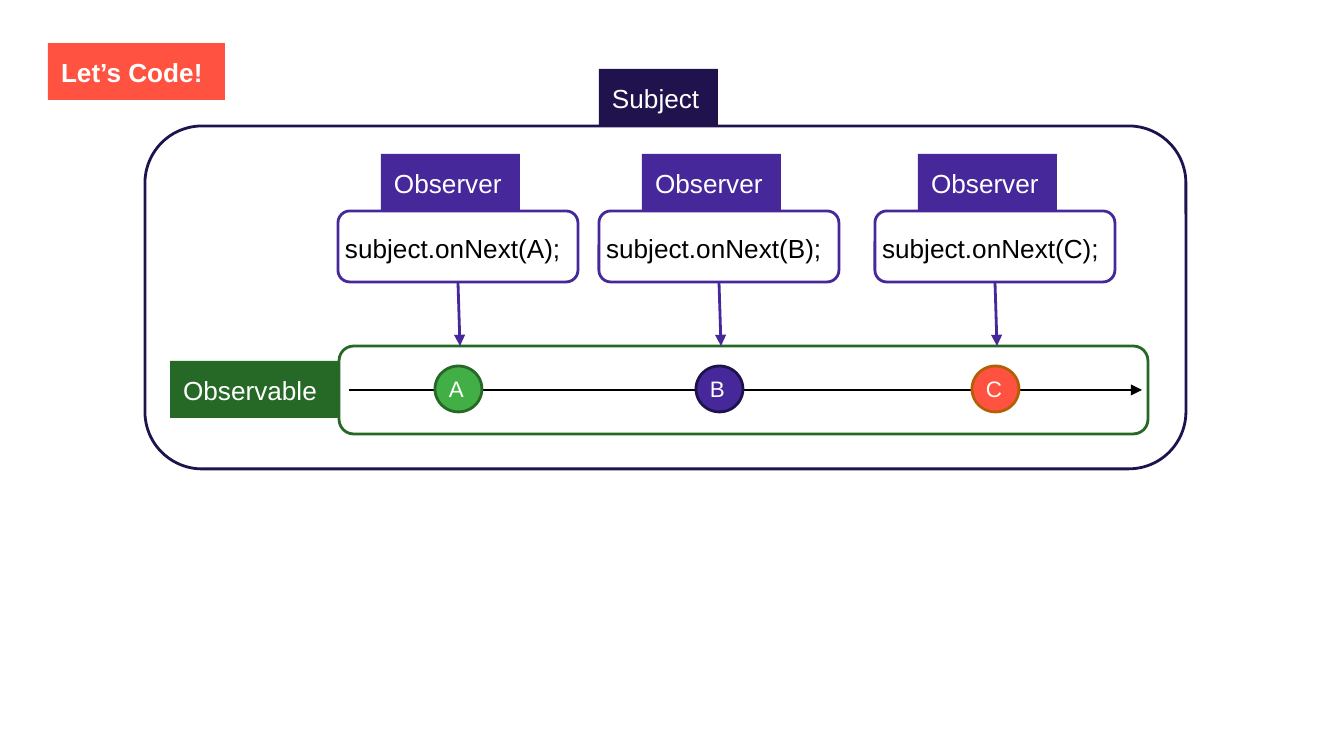
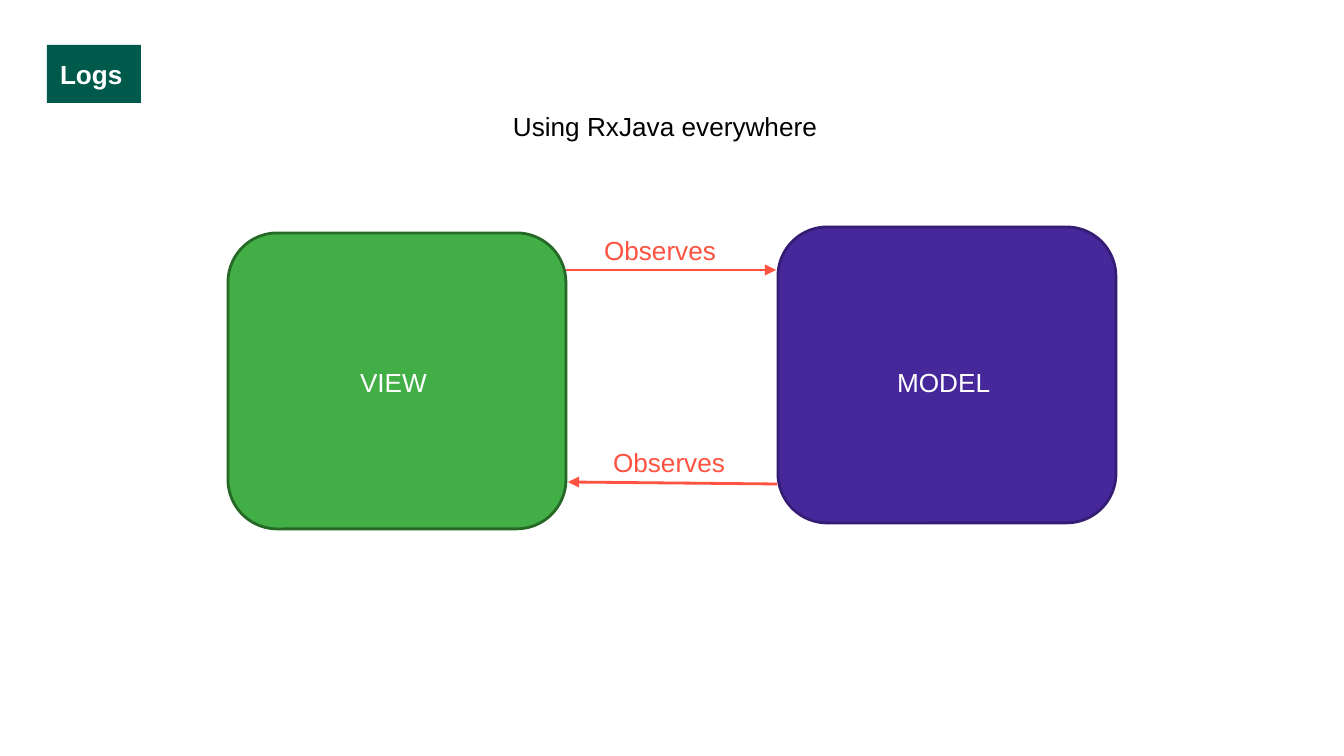
from lxml.etree import SubElement as Sub
from pptx import Presentation
from pptx.dml.color import RGBColor
from pptx.enum.shapes import MSO_CONNECTOR as Link, MSO_SHAPE as Kind
from pptx.enum.text import MSO_ANCHOR as Anchor, MSO_AUTO_SIZE as Auto, PP_ALIGN as Align
from pptx.oxml.ns import qn
from pptx.util import Emu, Pt

SCALE = 914400 / 134.4
WIDE, HIGH = 1344, 756
PAD = 13

WHITE, BLACK = "FFFFFF", "000000"
NAVY, VIOLET, PLUM = "20124D", "46289A", "351C75"
GREEN, FOREST, TEAL = "41AF46", "266826", "005A4B"
CORAL, RUST = "FF5240", "B45F06"

FRAME = {"word_wrap": True, "auto_size": Auto.NONE, "vertical_anchor": Anchor.TOP}
SIDES = ("left", "top", "right", "bottom")


def px(count):
    return Emu(round(count * SCALE))


def paint(target, color):
    """Make a fill solid, or clear it when there is no color."""
    if color:
        target.solid()
        target.fore_color.rgb = RGBColor.from_string(color)
    else:
        target.background()


def put(item, values):
    for name, value in values.items():
        setattr(item, name, value)


def write(shape, text, color=WHITE, size=14, bold=False):
    frame = shape.text_frame
    put(frame, FRAME | {f"margin_{side}": px(PAD) for side in SIDES})
    frame.text = text
    para = frame.paragraphs[0]
    para.alignment = Align.LEFT
    font = para.runs[0].font
    put(font, {"name": "Arial", "size": Pt(size), "bold": bold})
    font.color.rgb = RGBColor.from_string(color)


def shape(slide, kind, box, fill=None, line=None):
    item = slide.shapes.add_shape(kind, *map(px, box))
    item.shadow.inherit = False
    paint(item.fill, fill)
    paint(item.line.fill, line)
    if line:
        item.line.width = Pt(1.5)
    return item


def tag(slide, box, text, fill):
    write(shape(slide, Kind.RECTANGLE, box, fill), text)


def label(slide, box, text, color=WHITE, size=14):
    write(slide.shapes.add_textbox(*map(px, box)), text, color, size)


def arrow(slide, start, end, color, source=None):
    """Draw an arrow, joined to the bottom of source if there is one."""
    item = slide.shapes.add_connector(Link.STRAIGHT, *map(px, start + end))
    if source:
        item.begin_connect(source, 2)
    paint(item.line.fill, color)
    item.line.width = Pt(1.5)
    props = item._element.spPr
    Sub(item.line._get_or_add_ln(), qn("a:tailEnd"), type="triangle")
    Sub(props, qn("a:effectLst"))


def start(deck, text, box, fill):
    """Add a slide whose title is a colored tag."""
    slide = deck.slides.add_slide(deck.slide_layouts[5])
    title = slide.shapes.title
    put(title, dict(zip(("left", "top", "width", "height"), map(px, box))))
    paint(title.fill, fill)
    write(title, text, bold=True)
    return slide


def column(slide, left, letter, fill, line):
    """Draw one observer and the item that it emits."""
    card = shape(slide, Kind.ROUNDED_RECTANGLE, (left, 211, 240, 71), line=VIOLET)
    tag(slide, (left + 43, 154, 139, 57), "Observer", VIOLET)
    label(slide, (left - 6, 219, 253, 66), f"subject.onNext({letter});", BLACK)
    shape(slide, Kind.OVAL, (left + 97, 366, 47, 46), fill, line)
    label(slide, (left + 98, 362, 44, 56), letter, size=12)
    arrow(slide, (left + 120, 282), (left + 122, 346), VIOLET, card)


def subject(deck):
    slide = start(deck, "Let’s Code!", (48, 43, 177, 57), CORAL)
    shape(slide, Kind.ROUNDED_RECTANGLE, (145, 126, 1041, 343), line=NAVY)
    tag(slide, (599, 69, 119, 57), "Subject", NAVY)
    shape(slide, Kind.ROUNDED_RECTANGLE, (339, 346, 809, 88), line=FOREST)
    tag(slide, (170, 361, 170, 57), "Observable", FOREST)
    arrow(slide, (349, 390), (1142, 390), BLACK)
    for left, letter, fill, line in (
        (338, "A", GREEN, FOREST),
        (599, "B", VIOLET, NAVY),
        (875, "C", CORAL, RUST),
    ):
        column(slide, left, letter, fill, line)


def logs(deck):
    slide = start(deck, "Logs", (47, 45, 94, 58), TEAL)
    label(slide, (500, 97, 341, 56), "Using RxJava everywhere", BLACK)
    for left, top, fill, line in ((228, 233, GREEN, FOREST), (778, 227, VIOLET, PLUM)):
        shape(slide, Kind.ROUNDED_RECTANGLE, (left, top, 338, 296), fill, line)
    for left, width, text in ((347, 101, "VIEW"), (884, 124, "MODEL")):
        label(slide, (left, 353, width, 56), text)
    arrow(slide, (566, 270), (776, 270), CORAL)
    arrow(slide, (777, 484), (568, 482), CORAL)
    for left, top in ((591, 221), (600, 433)):
        label(slide, (left, top, 144, 48), "Observes", CORAL)


def main():
    deck = Presentation()
    put(deck, {"slide_width": px(WIDE), "slide_height": px(HIGH)})
    subject(deck)
    logs(deck)
    deck.save("out.pptx")


if __name__ == "__main__":
    main()
